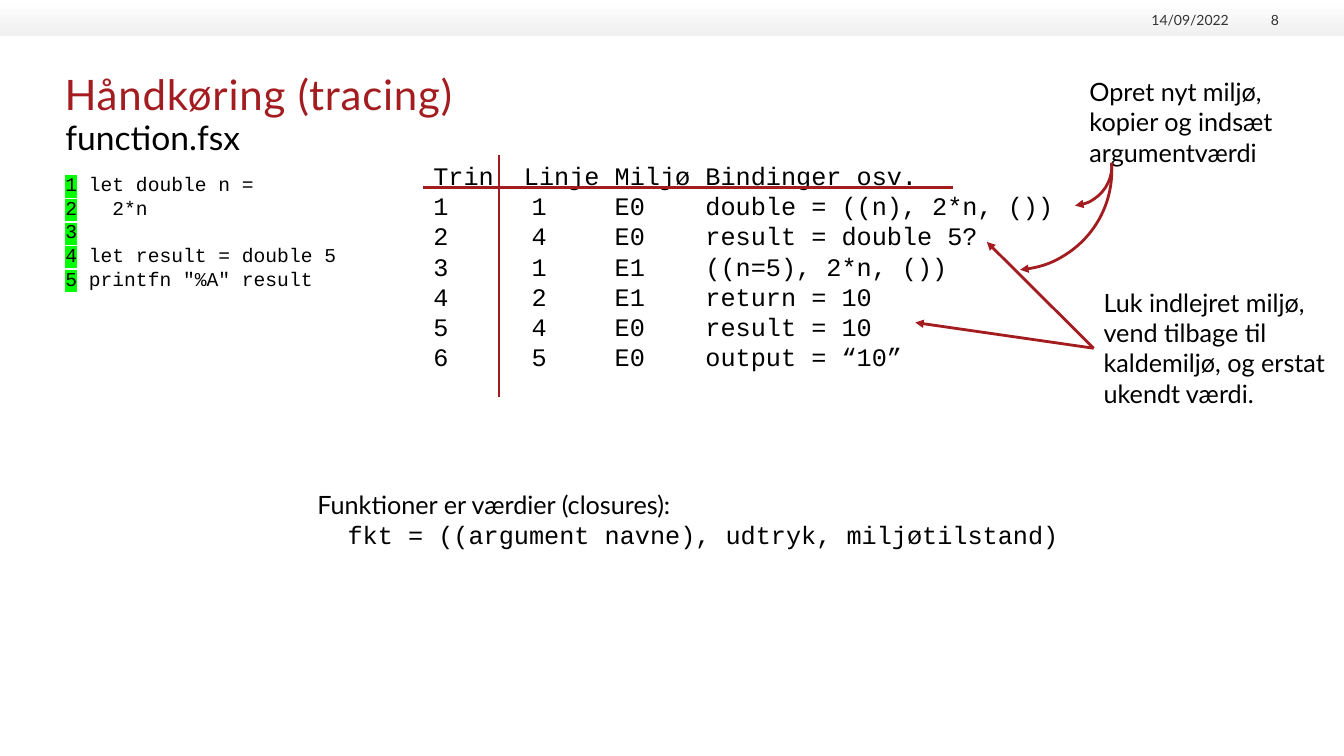
from lxml import etree
from pptx import Presentation
from pptx.dml.color import RGBColor
from pptx.enum.shapes import MSO_CONNECTOR, MSO_SHAPE
from pptx.enum.text import MSO_ANCHOR, MSO_AUTO_SIZE, PP_ALIGN
from pptx.oxml.ns import qn
from pptx.util import Pt

STRAIGHT = MSO_CONNECTOR.STRAIGHT
RECTANGLE, ARC = MSO_SHAPE.RECTANGLE, MSO_SHAPE.ARC
TOP, BOTTOM = MSO_ANCHOR.TOP, MSO_ANCHOR.BOTTOM
LEFT, RIGHT = PP_ALIGN.LEFT, PP_ALIGN.RIGHT
NO_FIT = MSO_AUTO_SIZE.NONE

COLORS = {"red": "A31D20", "black": "000000", "gray": "333333", "white": "FFFFFF",
          "bar": "EFF0EF", "green": "00FF00"}
SANS, MONO = "Lato", "Courier New"

TITLE = "Håndkøring (tracing)"
FILE_NAME = "function.fsx"
DATE, PAGE_NUMBER = "14/09/2022", "8"
CODE = ["let double n =", "  2*n", "", "let result = double 5", 'printfn "%A" result']
TRACE_HEAD = ("Trin", "Linje", "Miljø", "Bindinger osv.")
TRACE = [
    ("1", "E0", "double = ((n), 2*n, ())"),
    ("4", "E0", "result = double 5?"),
    ("1", "E1", "((n=5), 2*n, ())"),
    ("2", "E1", "return = 10"),
    ("4", "E0", "result = 10"),
    ("5", "E0", "output = “10”"),
]
CLOSURE = ["Funktioner er værdier (closures):",
           "fkt = ((argument navne), udtryk, miljøtilstand)"]
OPEN_NOTE = "Opret nyt miljø, kopier og indsæt argumentværdi"
CLOSE_NOTE = "Luk indlejret miljø, vend tilbage til kaldemiljø, og erstat ukendt værdi."

CHAR = 10.8
COLUMN = 6 * CHAR
TRACE_INDENT = 6.5 * CHAR
RULES = [(302.4, 133.9, 680.4, 133.9), (356.4, 110.9, 356.4, 283.7)]
CLOSE_TARGETS = [(653.8, 230.4), (704.9, 172.8)]
ARCS = [(652.3, 51.1, 141.8), (737.3, 90, 56.9)]


def rgb(name):
    return RGBColor.from_string(COLORS[name])


def style(para, size, font=SANS, color="black"):
    for span in para.runs:
        span.font.size = Pt(size)
        span.font.name = font
        span.font.color.rgb = rgb(color)


def add_text(page, bounds, lines, size, font=SANS, color="black"):
    box = page.shapes.add_textbox(*map(Pt, bounds))
    box.text_frame.word_wrap = True
    box.text_frame.text = "\n".join(lines)
    for para in box.text_frame.paragraphs:
        style(para, size, font, color)
    return box


def clear_margins(frame, anchor):
    frame.margin_left = frame.margin_right = frame.margin_top = frame.margin_bottom = 0
    frame.vertical_anchor = anchor


def set_indent(para, left, first=0):
    props = para._p.get_or_add_pPr()
    props.set("marL", str(Pt(left)))
    props.set("indent", str(Pt(first)))
    return props


def draw_line(shape, arrow=False):
    shape.line.color.rgb = rgb("red")
    shape.line.width = Pt(2)
    if arrow:
        etree.SubElement(shape.line._get_or_add_ln(), qn("a:tailEnd"), type="triangle")


def add_line(page, points, arrow=False):
    line = page.shapes.add_connector(STRAIGHT, *map(Pt, points))
    draw_line(line, arrow)
    etree.SubElement(line._element.spPr, qn("a:effectLst"))
    return line


def add_header(page):
    bar = page.shapes.add_shape(RECTANGLE, 0, 0, Pt(960), Pt(26))
    bar.shadow.inherit = False
    bar.line.fill.background()
    bar.fill.gradient()
    bar.fill.gradient_angle = 270
    for stop, name in zip(bar.fill.gradient_stops, ("white", "bar")):
        stop.color.rgb = rgb(name)
    for left, width, text in ((813.6, 64.1, DATE), (883.4, 30.2, PAGE_NUMBER)):
        box = add_text(page, (left, 6.5, width, 13.7), [text], 10, SANS, "gray")
        clear_margins(box.text_frame, BOTTOM)
        box.text_frame.paragraphs[0].alignment = RIGHT


def add_title(page):
    title = page.shapes.title
    title.left, title.top, title.width, title.height = map(Pt, (46.1, 49, 866.9, 68.4))
    title.text_frame.text = TITLE
    title.text_frame.auto_size = NO_FIT
    clear_margins(title.text_frame, TOP)
    para = title.text_frame.paragraphs[0]
    para.alignment = LEFT
    style(para, 30, SANS, "red")
    para.runs[0].font._element.set("spc", "60")


def add_code(page):
    box = add_text(page, (39.6, 119.5, 327.6, 92.2), [""] * len(CODE), 14)
    for number, (para, line) in enumerate(zip(box.text_frame.paragraphs, CODE), 1):
        para.add_run().text = str(number)
        para.add_run().text = " " + line
        style(para, 14, MONO)
        latin = para.runs[0].font._element.find(qn("a:latin"))
        highlight = etree.Element(qn("a:highlight"))
        etree.SubElement(highlight, qn("a:srgbClr"), val=COLORS["green"])
        latin.addprevious(highlight)


def add_trace(page):
    lines = ["\t".join(row) for row in [TRACE_HEAD] + TRACE]
    box = add_text(page, (302.4, 110.9, 470, 159.8), lines, 18, MONO)
    for index, para in enumerate(box.text_frame.paragraphs):
        props = para._p.get_or_add_pPr()
        if index:
            set_indent(para, TRACE_INDENT, -TRACE_INDENT)
            etree.SubElement(props, qn("a:buFont"), typeface=MONO)
            etree.SubElement(props, qn("a:buAutoNum"), type="arabicPlain")
        tabs = etree.SubElement(props, qn("a:tabLst"))
        for column in range(1, len(TRACE_HEAD)):
            etree.SubElement(tabs, qn("a:tab"), pos=str(Pt(column * COLUMN)), algn="l")


def main():
    """Build the slide on tracing a function by hand."""
    deck = Presentation()
    deck.slide_width, deck.slide_height = Pt(960), Pt(540)
    page = deck.slides.add_slide(deck.slide_layouts[5])
    add_header(page)
    add_title(page)
    add_code(page)
    add_text(page, (39.6, 79.9, 226.8, 36), [FILE_NAME], 24)
    add_trace(page)

    closure = add_text(page, (219.6, 345.6, 550, 51.1), CLOSURE, 18)
    formula = closure.text_frame.paragraphs[1]
    set_indent(formula, 2 * CHAR)
    style(formula, 18, MONO)

    for points in RULES:
        add_line(page, points)
    add_text(page, (771.1, 51.1, 178.6, 72.7), [OPEN_NOTE], 18)
    close_note = add_text(page, (781.2, 201.6, 178.6, 94.3), [CLOSE_NOTE], 18)
    for target in CLOSE_TARGETS:
        arrow = add_line(page, (781.2, 248.4) + target, arrow=True)
        arrow.begin_connect(close_note, 1)
    for left, top, size in ARCS:
        arc = page.shapes.add_shape(ARC, Pt(left), Pt(top), Pt(size), Pt(size))
        arc.shadow.inherit = False
        arc.rotation = 85.6
        arc.fill.background()
        draw_line(arc, arrow=True)
    deck.save("out.pptx")


if __name__ == "__main__":
    main()
